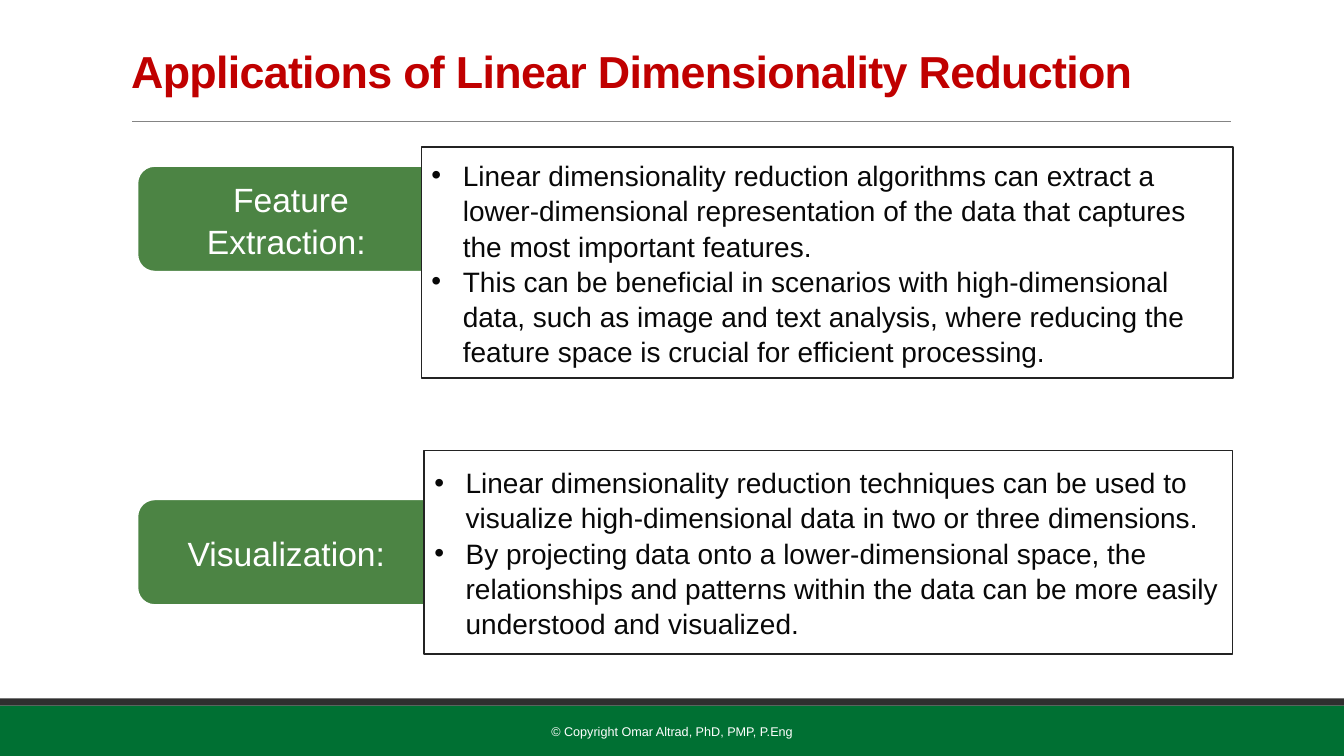
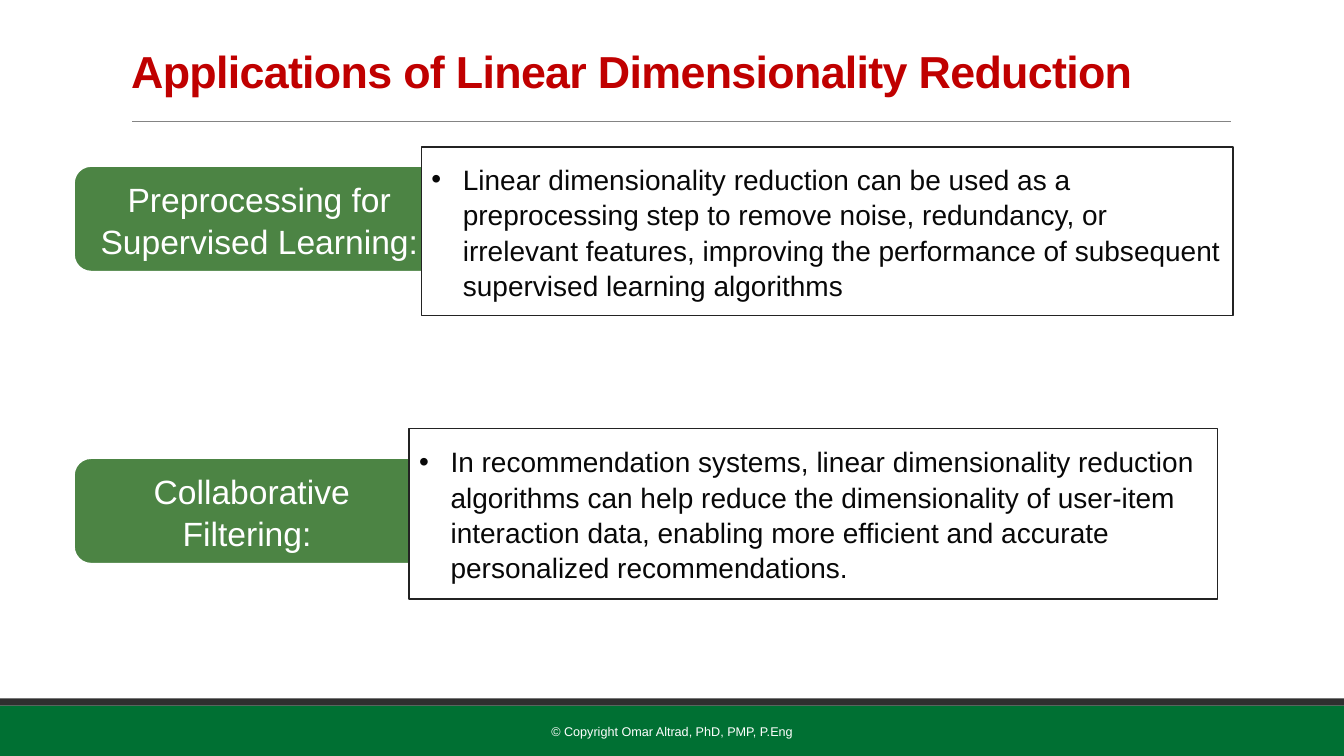
from lxml.etree import SubElement
from pptx import Presentation
from pptx.dml.color import RGBColor
from pptx.enum.shapes import MSO_CONNECTOR, MSO_SHAPE
from pptx.enum.text import MSO_ANCHOR, MSO_AUTO_SIZE, PP_ALIGN
from pptx.oxml.ns import qn
from pptx.util import Cm, Pt

GREEN = RGBColor(0x00, 0x70, 0x33)
LEAF = RGBColor(0x4C, 0x84, 0x44)
DARK = RGBColor(0x2F, 0x2F, 0x2F)
EDGE = RGBColor(0x23, 0x23, 0x23)
GRAY = RGBColor(0x84, 0x84, 0x84)
INK = RGBColor(0x08, 0x08, 0x08)
RED = RGBColor(0xC0, 0x00, 0x00)
WHITE = RGBColor(0xFF, 0xFF, 0xFF)

FONT = "Arial"
WIDE, HIGH = 33.87, 19.05
TITLE = "Applications of Linear Dimensionality Reduction"
FOOTER = "© Copyright Omar Altrad, PhD, PMP, P.Eng"

PAGES = [
    [
        ("Feature Extraction: ", (3.45, 4.17, 7.77), (10.62, 3.71, 20.45, 5.82), [
            "Linear dimensionality reduction algorithms can extract a lower-dimensional "
            "representation of the data that captures the most important features.",
            "This can be beneficial in scenarios with high-dimensional data, such as image "
            "and text analysis, where reducing the feature space is crucial for efficient "
            "processing.",
        ]),
        ("Visualization: ", (3.45, 12.57, 7.77), (10.69, 11.35, 20.37, 5.13), [
            "Linear dimensionality reduction techniques can be used to visualize "
            "high-dimensional data in two or three dimensions.",
            "By projecting data onto a lower-dimensional space, the relationships and "
            "patterns within the data can be more easily understood and visualized.",
        ]),
    ],
    [
        ("Preprocessing for Supervised Learning: ", (1.85, 4.17, 9.37),
         (10.62, 3.71, 20.45, 4.24), [
            "Linear dimensionality reduction can be used as a preprocessing step to remove "
            "noise, redundancy, or irrelevant features, improving the performance of "
            "subsequent supervised learning algorithms",
        ]),
        ("Collaborative Filtering: ", (1.85, 11.53, 8.99), (10.31, 10.8, 20.37, 4.29), [
            "In recommendation systems, linear dimensionality reduction algorithms can help "
            "reduce the dimensionality of user-item interaction data, enabling more "
            "efficient and accurate personalized recommendations.",
        ]),
    ],
]


class Deck:
    """Holds the shared style and the slide being built."""

    def __init__(self):
        self.show = Presentation()
        self.show.slide_width, self.show.slide_height = Cm(WIDE), Cm(HIGH)
        self.slide = None

    def page(self):
        self.slide = self.show.slides.add_slide(self.show.slide_layouts[3])
        self.band(17.78, 1.27, GREEN)
        self.band(17.6, 0.18, DARK)
        self.rule(3.33, 31.01, 3.05)
        self.title(TITLE)
        self.footer(FOOTER)

    def place(self, shape, left, top, width, height):
        shape.left, shape.top = Cm(left), Cm(top)
        shape.width, shape.height = Cm(width), Cm(height)

    def paint(self, shape, fill, line=None, weight=0):
        shape.fill.solid()
        shape.fill.fore_color.rgb = fill
        if line is None:
            shape.line.fill.background()
        else:
            shape.line.color.rgb = line
            shape.line.width = Pt(weight)

    def shape(self, kind, spot, fill, line=None, weight=0):
        item = self.slide.shapes.add_shape(kind, *map(Cm, spot))
        item.shadow.inherit = False
        self.paint(item, fill, line, weight)
        return item

    def frame(self, shape):
        text = shape.text_frame
        text.word_wrap = True
        text.auto_size = MSO_AUTO_SIZE.NONE
        text.vertical_anchor = MSO_ANCHOR.MIDDLE
        return text

    def put(self, para, words, size, color, align=PP_ALIGN.LEFT, space=1.0):
        para.alignment = align
        para.line_spacing = space
        para.space_before = para.space_after = Pt(0)
        run = para.add_run()
        run.text = words
        run.font.name, run.font.size = FONT, Pt(size)
        run.font.color.rgb = color
        return run

    def band(self, top, height, fill):
        self.shape(MSO_SHAPE.RECTANGLE, (0, top, WIDE, height), fill)

    def rule(self, start, end, top):
        line = self.slide.shapes.add_connector(
            MSO_CONNECTOR.STRAIGHT, Cm(start), Cm(top), Cm(end), Cm(top))
        line.line.color.rgb = GRAY
        line.line.width = Pt(0.5)
        SubElement(line.element.spPr, qn("a:effectLst"))

    def title(self, words):
        head = self.slide.shapes.title
        self.place(head, 3.05, 0.79, 27.94, 2.18)
        run = self.put(self.frame(head).paragraphs[0], words, 32, RED, space=0.85)
        run.font.bold = True
        run._r.get_or_add_rPr().set("spc", "-50")

    def footer(self, words):
        box = self.slide.shapes.add_textbox(Cm(10.24), Cm(17.93), Cm(13.39), Cm(1.02))
        self.put(self.frame(box).paragraphs[0], words, 9, WHITE, PP_ALIGN.CENTER)

    def label(self, words, left, top, width):
        item = self.shape(MSO_SHAPE.ROUNDED_RECTANGLE, (left, top, width, 2.69),
                          LEAF, WHITE, 2)
        text = self.frame(item)
        text.margin_left = text.margin_right = Cm(0.45)
        self.put(text.paragraphs[0], words, 24, WHITE, PP_ALIGN.CENTER, 1.05)
        return item

    def points(self, body, spot, lines):
        self.place(body, *spot)
        self.paint(body, WHITE, EDGE, 1.25)
        text = self.frame(body)
        for num, words in enumerate(lines):
            para = text.add_paragraph() if num else text.paragraphs[0]
            self.put(para, words, 20, INK, space=1.05)
            props = para._p.get_or_add_pPr()
            props.set("marL", str(Cm(0.79)))
            props.set("indent", str(-Cm(0.79)))

    def topic(self, slot, name, spot, area, lines):
        body = self.slide.placeholders[slot]
        tag = self.label(name, *spot)
        self.points(body, area, lines)
        tag.element.addnext(body.element)

    def save(self):
        self.show.save("out.pptx")


def main():
    deck = Deck()
    for topics in PAGES:
        deck.page()
        for slot, topic in enumerate(topics, 1):
            deck.topic(slot, *topic)
    deck.save()


if __name__ == "__main__":
    main()
